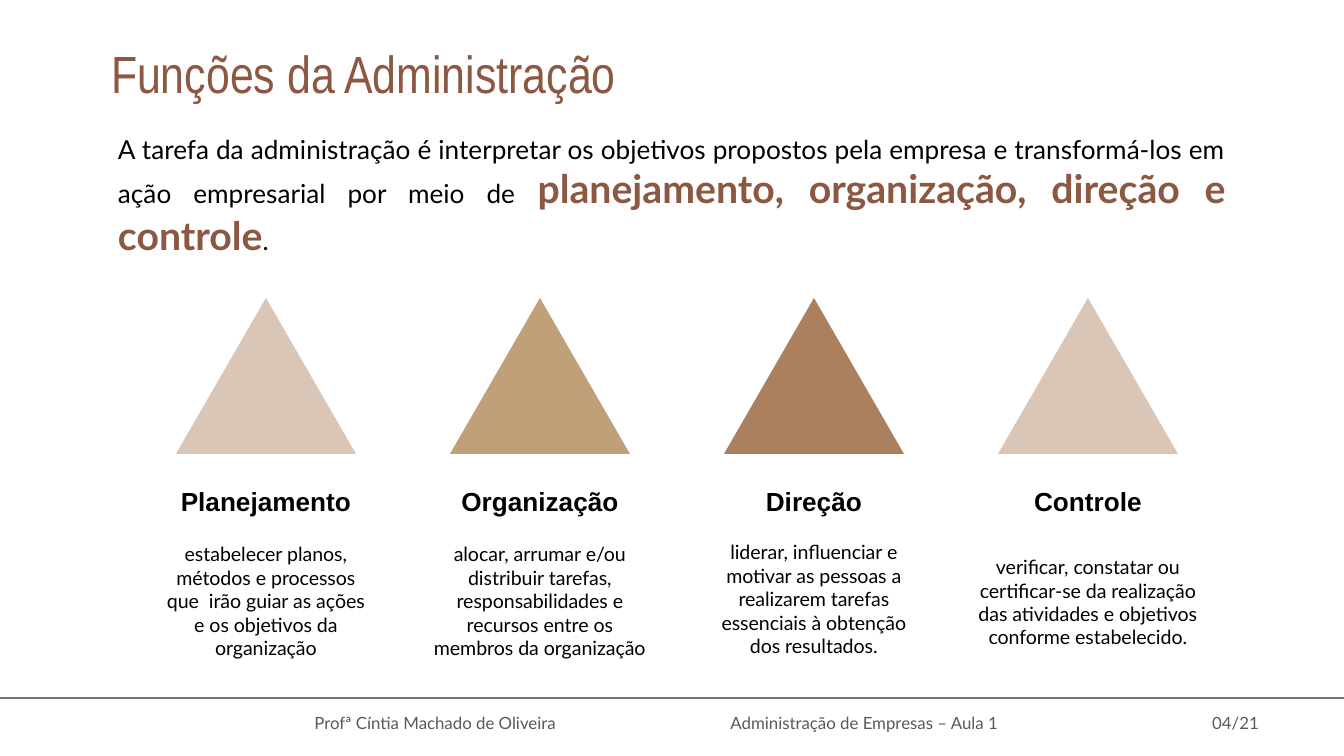
from pptx import Presentation
from pptx import util as u
from pptx.dml.color import RGBColor
from pptx.enum import shapes, text
from pptx.oxml.ns import qn

EMU_PER_PX = 914400 / 134.4

COLORS = {
    "black": "000000",
    "brown": "8C5841",
    "gray": "595959",
    "rule": "777777",
    "sand": "D9C6B6",
    "gold": "C0A079",
    "copper": "AA805E",
}

FIRST_CENTER, COLUMN_PITCH = 266, 274

# Name, triangle colour, description, then its top, width and height
FUNCTIONS = [
    ("Planejamento", "sand",
     "estabelecer planos, métodos e processos que  irão guiar as ações "
     "e os objetivos da organização", 531, 231, 140),
    ("Organização", "gold",
     "alocar, arrumar e/ou distribuir tarefas, responsabilidades e "
     "recursos entre os membros da organização", 531, 245, 140),
    ("Direção", "copper",
     "liderar, influenciar e motivar as pessoas a realizarem tarefas "
     "essenciais à obtenção dos resultados.", 528, 214, 142),
    ("Controle", "sand",
     "verificar, constatar ou certificar-se da realização das atividades "
     "e objetivos conforme estabelecido.", 532, 245, 140),
]

# Text, left and width
FOOTERS = [
    ("Profª Cíntia Machado de Oliveira", 278, 314),
    ("Administração de Empresas – Aula 1", 702, 324),
    ("04/21", 1169, 133),
]


def px(length):
    return u.Emu(round(length * EMU_PER_PX))


def rgb(name):
    return RGBColor.from_string(COLORS[name])


def style(font, size, face, color, bold=False):
    font.size, font.name, font.bold = u.Pt(size), face, bold
    font.color.rgb = rgb(color)


def add_box(slide, left, top, width, height, align, middle=False, inset_y=13):
    """Add an empty wrapped text box and return its first paragraph."""
    frame = slide.shapes.add_textbox(
        px(left), px(top), px(width), px(height)).text_frame
    frame.word_wrap = True
    frame.margin_left = frame.margin_right = px(13)
    frame.margin_top = frame.margin_bottom = px(inset_y)
    frame.vertical_anchor = (
        text.MSO_ANCHOR.MIDDLE if middle else text.MSO_ANCHOR.TOP)
    paragraph = frame.paragraphs[0]
    paragraph.alignment = align
    return paragraph


def add_label(slide, words, area, size, face, color, bold=False,
              align=text.PP_ALIGN.CENTER, **box):
    paragraph = add_box(slide, *area, align, **box)
    paragraph.text = words
    style(paragraph.font, size, face, color, bold)


def add_triangle(slide, center, color):
    triangle = slide.shapes.add_shape(
        shapes.MSO_SHAPE.ISOSCELES_TRIANGLE,
        px(center - 90), px(298), px(180), px(156))
    triangle.shadow.inherit = False
    triangle.fill.solid()
    triangle.fill.fore_color.rgb = rgb(color)
    triangle.line.fill.background()


def add_rule(slide, y, right):
    rule = slide.shapes.add_connector(
        shapes.MSO_CONNECTOR.STRAIGHT, 0, px(y), px(right), px(y))
    rule.line.color.rgb = rgb("rule")
    rule.line.width = u.Pt(1)
    properties = rule._element.spPr
    properties.append(properties.makeelement(qn("a:effectLst"), {}))


def add_intro(slide):
    intro = add_box(slide, 105, 120, 1134, 85, text.PP_ALIGN.JUSTIFY)
    for words, size, color, bold in [
        ("A tarefa da administração é interpretar os objetivos propostos pela "
         "empresa e transformá-los em ação empresarial por meio de ",
         14, "black", False),
        ("planejamento, organização, direção e controle", 21, "brown", True),
        (".", 14, "black", False),
    ]:
        run = intro.add_run()
        run.text = words
        style(run.font, size, "Lato", color, bold)


def add_function(slide, center, name, color, description, top, width, height):
    add_triangle(slide, center, color)
    add_label(slide, name, (center - 107, 472, 214, 56), 14, "Arial", "black",
              bold=True)
    add_label(slide, description, (center - width / 2, top, width, height),
              10.5, "Lato", "black", middle=True)


def main():
    deck = Presentation()
    deck.slide_width, deck.slide_height = px(1344), px(756)
    slide = deck.slides.add_slide(deck.slide_layouts[6])

    # Title and introduction
    add_label(slide, "Funções da Administração", (98, 34, 1134, 77), 28,
              "Arial Narrow", "brown", align=text.PP_ALIGN.LEFT, inset_y=7)
    add_intro(slide)

    # The four functions, in equal columns
    for column, function in enumerate(FUNCTIONS):
        add_function(slide, FIRST_CENTER + column * COLUMN_PITCH, *function)

    # Footer
    add_rule(slide, 698, 1346)
    for words, left, width in FOOTERS:
        add_label(slide, words, (left, 700, width, 45), 9, "Lato", "gray",
                  middle=True)

    deck.save("out.pptx")


if __name__ == "__main__":
    main()
